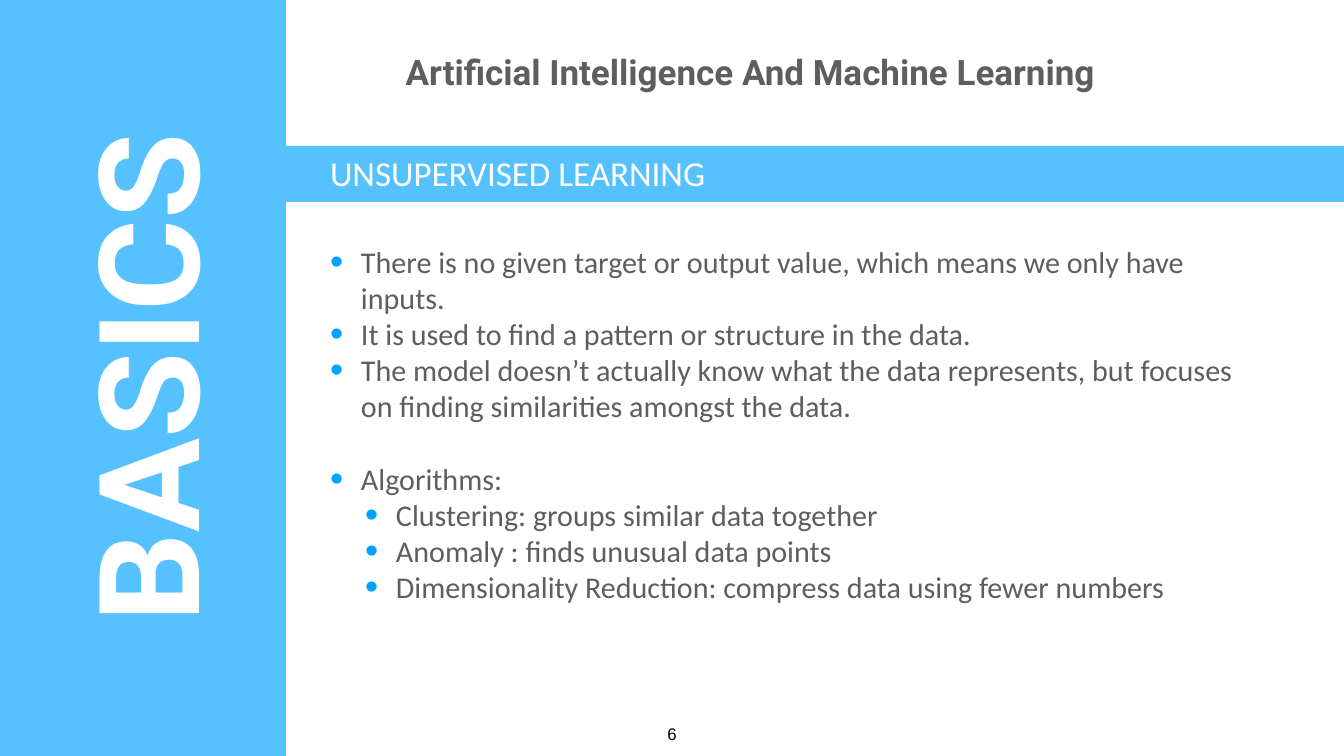
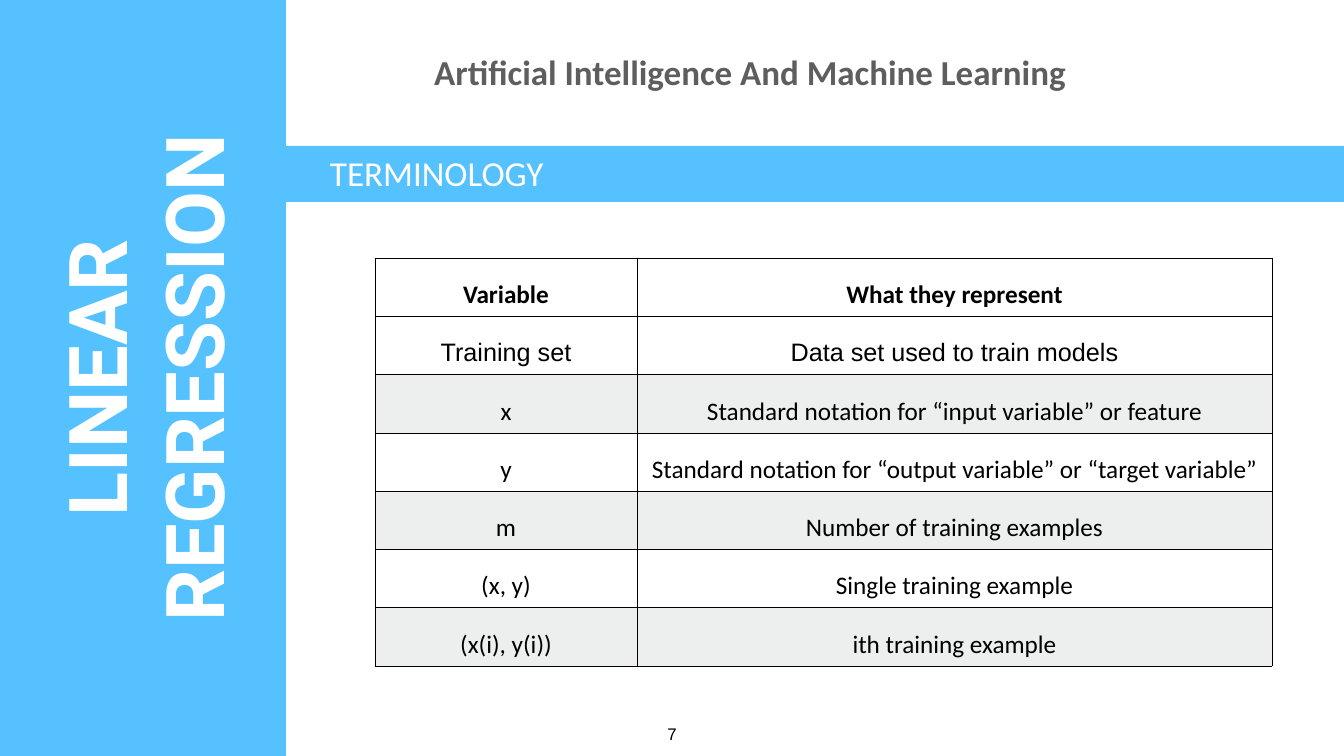
from dataclasses import dataclass

from lxml.etree import SubElement
from pptx import Presentation
from pptx.dml.color import RGBColor
from pptx.enum.shapes import MSO_SHAPE as Preset
from pptx.enum.text import MSO_ANCHOR as Anchor, PP_ALIGN as Align
from pptx.oxml import parse_xml
from pptx.oxml.ns import nsdecls, qn
from pptx.util import Pt

SLIDE_WIDTH, SLIDE_HEIGHT = 1344, 756
EMU_PER_PIXEL = 914400 / 50.4

SKY, BULLET_BLUE = "56C1FF", "00A2FF"
GRAY, PALE_GRAY = "5E5E5E", "EDEEEE"
WHITE, BLACK = "FFFFFF", "000000"

HEADER = "Artificial Intelligence And Machine Learning"
INSET = 3
HEADER_RIGHT_INSET = 20  # sets the header slightly left of the box centre
BULLET_HANG = 31
BULLET_STEP = 35


@dataclass(frozen=True)
class Box:
    """A rectangle in pixels."""
    left: int
    top: int
    width: int
    height: int

    def emu(self) -> tuple[int, int, int, int]:
        """Return the rectangle in EMU."""
        return px(self.left), px(self.top), px(self.width), px(self.height)


@dataclass(frozen=True)
class TextStyle:
    """The look of a paragraph."""
    font: str
    size: int
    color: str
    bold: bool = False
    align: Align = Align.LEFT


@dataclass(frozen=True)
class Frame:
    """What differs between the frames of the slides."""
    side_title: str
    side_size: int
    header_font: str
    heading: str
    heading_width: int
    number: int


@dataclass(frozen=True)
class Bullet:
    """A bulleted line with its level and the space above it in points."""
    text: str
    level: int = 0
    space_before: int = 0


@dataclass(frozen=True)
class Term:
    """A row of the terminology table."""
    variable: str
    meaning: str
    font: str = "Calibri"
    bold: bool = False
    fill: str = WHITE


SIDE_PANEL = Box(0, 0, 286, SLIDE_HEIGHT)
SIDE_TITLE = Box(-134, 250, 555, 256)
HEADER_BOX = Box(383, 1, 752, 141)
BAND = Box(279, 146, SLIDE_WIDTH - 279, 56)
BULLET_BOX = Box(327, 240, 914, 424)
NUMBER_BOX = Box(664, 721, 16, 25)
TABLE_BOX = Box(375, 258, 897, 408)
COLUMN_WIDTHS = (262, 635)

BULLETS = (
    Bullet("There is no given target or output value, which means we only have inputs."),
    Bullet("It is used to find a pattern or structure in the data."),
    Bullet("The model doesn’t actually know what the data represents, "
           "but focuses on finding similarities amongst the data."),
    Bullet("Algorithms:", space_before=52),
    Bullet("Clustering: groups similar data together", level=1),
    Bullet("Anomaly : finds unusual data points", level=1),
    Bullet("Dimensionality Reduction: compress data using fewer numbers", level=1),
)

TERMS = (
    Term("Variable", "What they represent", bold=True),
    Term("Training set", "Data set used to train models", font="Arial"),
    Term("x", "Standard notation for “input variable” or feature", fill=PALE_GRAY),
    Term("y", "Standard notation for “output variable” or “target variable”"),
    Term("m", "Number of training examples", fill=PALE_GRAY),
    Term("(x, y)", "Single training example"),
    Term("(x(i), y(i))", "ith training example", fill=PALE_GRAY),
)


def px(pixels: float) -> int:
    """Turn pixels into EMU."""
    return round(pixels * EMU_PER_PIXEL)


def rgb(color: str) -> RGBColor:
    """Turn a hex string into a colour."""
    return RGBColor.from_string(color)


def style_paragraph(paragraph, style: TextStyle) -> None:
    """Apply a text style to a paragraph."""
    paragraph.alignment = style.align
    font = paragraph.font
    font.name, font.size, font.bold = style.font, Pt(style.size), style.bold
    font.color.rgb = rgb(style.color)


def add_rectangle(slide, box: Box, color: str) -> None:
    """Draw a plain filled rectangle."""
    shape = slide.shapes.add_shape(Preset.RECTANGLE, *box.emu())
    shape.shadow.inherit = False
    shape.fill.solid()
    shape.fill.fore_color.rgb = rgb(color)
    shape.line.fill.background()


def add_text(slide, box: Box, text: str, style: TextStyle,
             anchor: Anchor = Anchor.MIDDLE, wrap: bool = True):
    """Add a one-paragraph text box and return its shape."""
    shape = slide.shapes.add_textbox(*box.emu())
    frame = shape.text_frame
    frame.word_wrap = wrap
    frame.vertical_anchor = anchor
    frame.margin_left = frame.margin_right = px(INSET)
    frame.margin_top = frame.margin_bottom = px(INSET)
    frame.text = text
    style_paragraph(frame.paragraphs[0], style)
    return shape


def add_frame(slide, frame: Frame) -> None:
    """Draw the side panel, header, heading band and slide number."""
    add_rectangle(slide, SIDE_PANEL, SKY)
    side = add_text(slide, SIDE_TITLE, frame.side_title,
                    TextStyle("Roboto", frame.side_size, WHITE, True, Align.CENTER))
    side.rotation = 270
    header = add_text(slide, HEADER_BOX, HEADER,
                      TextStyle(frame.header_font, 50, GRAY, True, Align.CENTER))
    header.text_frame.margin_right = px(HEADER_RIGHT_INSET)
    add_rectangle(slide, BAND, SKY)
    add_text(slide, Box(327, 149, frame.heading_width, 48), frame.heading,
             TextStyle("Calibri", 50, WHITE), wrap=False)
    add_text(slide, NUMBER_BOX, str(frame.number),
             TextStyle("Arial", 24, BLACK, align=Align.CENTER), Anchor.TOP, wrap=False)


def set_bullet(paragraph, level: int) -> None:
    """Give a paragraph a hanging round bullet."""
    properties = paragraph._p.get_or_add_pPr()
    properties.set("marL", str(px(BULLET_HANG + level * BULLET_STEP)))
    properties.set("indent", str(-px(BULLET_HANG)))
    for element in (
        f'<a:buClr {nsdecls("a")}><a:srgbClr val="{BULLET_BLUE}"/></a:buClr>',
        f'<a:buSzPct {nsdecls("a")} val="125000"/>',
        f'<a:buFont {nsdecls("a")} typeface="Arial"/>',
        f'<a:buChar {nsdecls("a")} char="•"/>',
    ):
        properties.insert_element_before(parse_xml(element), "a:tabLst", "a:defRPr", "a:extLst")


def add_bullets(slide, box: Box, bullets: tuple[Bullet, ...]) -> None:
    """Add a bulleted list."""
    style = TextStyle("Calibri", 43, GRAY)
    frame = add_text(slide, box, bullets[0].text, style, Anchor.TOP).text_frame
    for bullet in bullets[1:]:
        paragraph = frame.add_paragraph()
        paragraph.text = bullet.text
        style_paragraph(paragraph, style)
    for paragraph, bullet in zip(frame.paragraphs, bullets):
        paragraph.level = bullet.level
        paragraph.space_before = Pt(bullet.space_before)
        set_bullet(paragraph, bullet.level)


def set_borders(cell, color: str) -> None:
    """Draw a one-point line on each side of a cell."""
    properties = cell._tc.get_or_add_tcPr()
    for side in ("lnL", "lnR", "lnT", "lnB"):
        line = SubElement(properties, qn(f"a:{side}"), w=str(Pt(1)))
        fill = SubElement(line, qn("a:solidFill"))
        SubElement(fill, qn("a:srgbClr"), val=color)


def add_terms(slide, box: Box, terms: tuple[Term, ...]) -> None:
    """Add the terminology table."""
    table = slide.shapes.add_table(len(terms), len(COLUMN_WIDTHS), *box.emu()).table
    table.first_row = table.horz_banding = False
    for column, width in zip(table.columns, COLUMN_WIDTHS):
        column.width = px(width)
    for row, term in zip(table.rows, terms):
        style = TextStyle(term.font, 36, BLACK, term.bold, Align.CENTER)
        for cell, text in zip(row.cells, (term.variable, term.meaning)):
            cell.text = text
            cell.vertical_anchor = Anchor.MIDDLE
            set_borders(cell, BLACK)
            cell.fill.solid()
            cell.fill.fore_color.rgb = rgb(term.fill)
            paragraph = cell.text_frame.paragraphs[0]
            paragraph.line_spacing = 1.5
            style_paragraph(paragraph, style)


def add_blank_slide(presentation):
    """Add a slide with the blank layout."""
    return presentation.slides.add_slide(presentation.slide_layouts[6])


def main() -> None:
    """Build and save the presentation."""
    presentation = Presentation()
    presentation.slide_width = px(SLIDE_WIDTH)
    presentation.slide_height = px(SLIDE_HEIGHT)

    slide = add_blank_slide(presentation)
    add_frame(slide, Frame("BASICS", 200, "Roboto", "UNSUPERVISED LEARNING", 386, 6))
    add_bullets(slide, BULLET_BOX, BULLETS)

    slide = add_blank_slide(presentation)
    add_frame(slide, Frame("LINEAR REGRESSION", 116, "Calibri", "TERMINOLOGY", 222, 7))
    add_terms(slide, TABLE_BOX, TERMS)

    presentation.save("out.pptx")


main()
